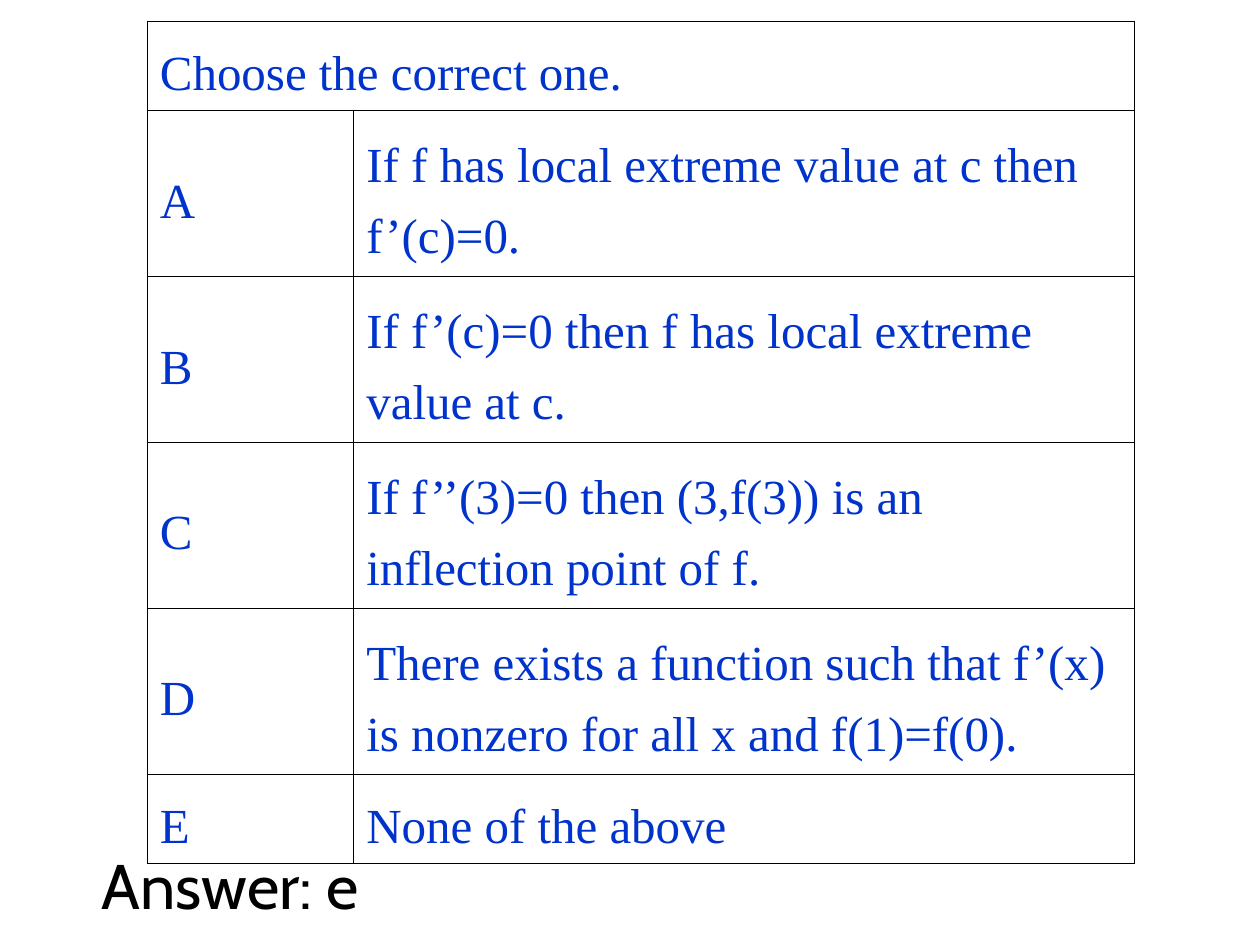
from lxml import etree
from pptx import Presentation
from pptx.dml.color import RGBColor
from pptx.enum.text import MSO_ANCHOR, MSO_AUTO_SIZE
from pptx.oxml.ns import qn
from pptx.util import Pt

MIDDLE = MSO_ANCHOR.MIDDLE
FIT_SHAPE = MSO_AUTO_SIZE.SHAPE_TO_FIT_TEXT
COLORS = {"quiz": "0033CC", "answer": "000000", "border": "000000"}
BORDER_WIDTH = Pt(0.45)

QUESTION = "Choose the correct one."
CHOICES = [
    ("A", "If f has local extreme value at c then f’(c)=0."),
    ("B", "If f’(c)=0 then f has local extreme value at c."),
    ("C", "If f’’(3)=0 then (3,f(3)) is an inflection point of f."),
    ("D", "There exists a function such that f’(x) is nonzero for all x and f(1)=f(0)."),
    ("E", "None of the above"),
]
COLUMN_WIDTHS = [118, 445.8]
ROW_HEIGHTS = [51, 94.8, 94.8, 94.8, 94.8, 51]


def style_text(paragraph, font_name, size, color):
    paragraph.font.name = font_name
    paragraph.font.size = Pt(size)
    paragraph.font.color.rgb = RGBColor.from_string(COLORS[color])


def add_borders(cell):
    properties = cell._tc.get_or_add_tcPr()
    for side in ("a:lnL", "a:lnR", "a:lnT", "a:lnB"):
        line = etree.SubElement(properties, qn(side), w=str(BORDER_WIDTH))
        fill = etree.SubElement(line, qn("a:solidFill"))
        etree.SubElement(fill, qn("a:srgbClr"), val=COLORS["border"])


deck = Presentation()
deck.slide_width, deck.slide_height = Pt(720), Pt(540)
page = deck.slides.add_slide(deck.slide_layouts[6])

# Question and choices
quiz = page.shapes.add_table(
    len(ROW_HEIGHTS), len(COLUMN_WIDTHS), Pt(84.2), Pt(12.2),
    Pt(sum(COLUMN_WIDTHS)), Pt(sum(ROW_HEIGHTS))).table
quiz.first_row = False
quiz.horz_banding = False
for column, width in zip(quiz.columns, COLUMN_WIDTHS):
    column.width = Pt(width)
for row, height in zip(quiz.rows, ROW_HEIGHTS):
    row.height = Pt(height)
quiz.cell(0, 0).merge(quiz.cell(0, 1))

for row, texts in zip(quiz.rows, [(QUESTION, "")] + CHOICES):
    for cell, text in zip(row.cells, texts):
        add_borders(cell)
        cell.fill.background()
        cell.vertical_anchor = MIDDLE
        if text:
            cell.text = text
            paragraph = cell.text_frame.paragraphs[0]
            paragraph.line_spacing = 1.3
            style_text(paragraph, "Times New Roman", 28, "quiz")

# Answer below the table
answer = page.shapes.add_textbox(Pt(51), Pt(480), Pt(179), Pt(50.4)).text_frame
answer.word_wrap = False
answer.auto_size = FIT_SHAPE
answer.text = "Answer: e"
style_text(answer.paragraphs[0], "Cabin", 36, "answer")

deck.save("out.pptx")
